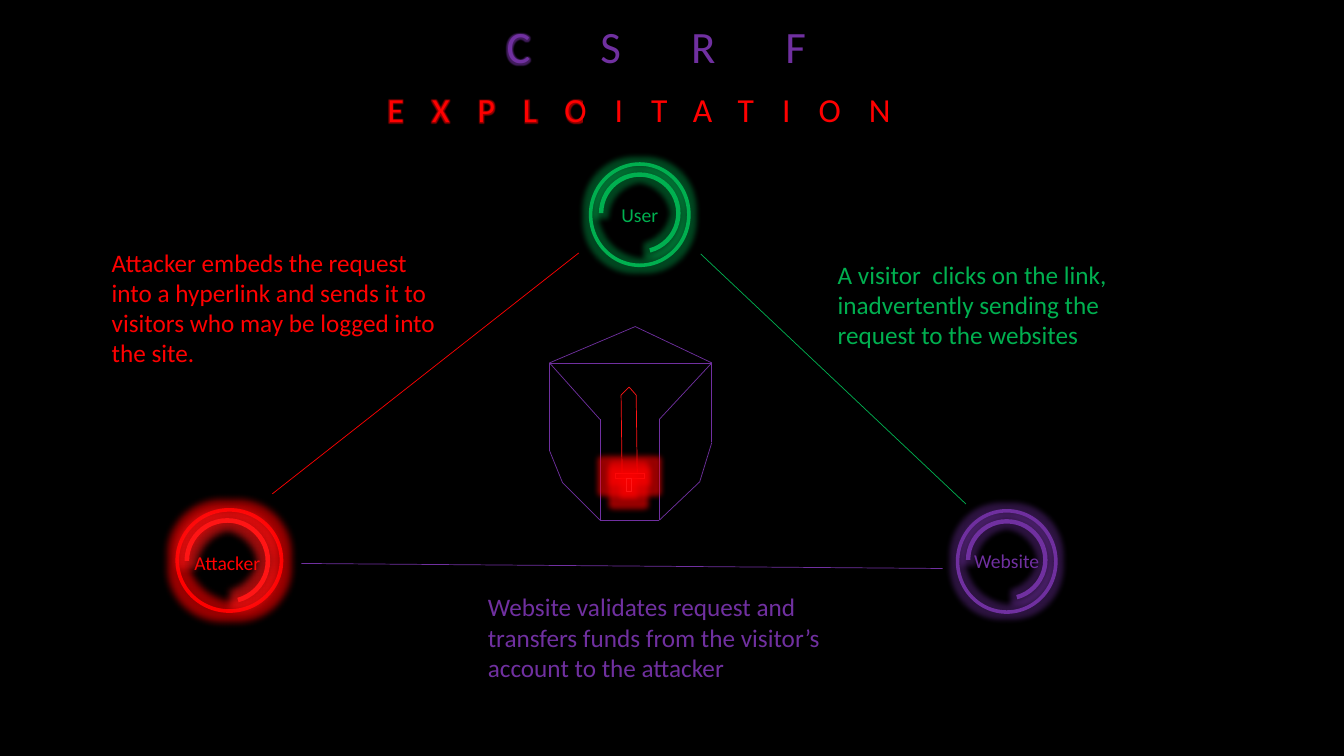
from dataclasses import dataclass
from itertools import pairwise

from lxml import etree
from pptx import Presentation
from pptx.dml.color import RGBColor
from pptx.enum.shapes import MSO_CONNECTOR, MSO_SHAPE
from pptx.enum.text import MSO_AUTO_SIZE, PP_ALIGN
from pptx.oxml.ns import qn
from pptx.util import Inches, Pt

DONUT, ARC, RECTANGLE = MSO_SHAPE.DONUT, MSO_SHAPE.BLOCK_ARC, MSO_SHAPE.RECTANGLE
STRAIGHT = MSO_CONNECTOR.STRAIGHT
LEFT, CENTER = PP_ALIGN.LEFT, PP_ALIGN.CENTER


@dataclass(frozen=True)
class Theme:
    font: str = "Calibri"
    background: str = "000000"
    red: str = "FF0000"
    bright_red: str = "FF1515"
    green: str = "00B050"
    purple: str = "7030A0"
    title: int = 32
    subtitle: int = 24
    body: int = 18
    label: int = 14
    line: float = 0.5


THEME = Theme()


def color(value):
    return RGBColor.from_string(value)


def add_glow(properties, value, radius, opacity):
    effects = properties.find(qn("a:effectLst"))
    if effects is None:
        effects = etree.SubElement(properties, qn("a:effectLst"))
    glow = etree.SubElement(effects, qn("a:glow"), rad=str(Pt(radius)))
    tint = etree.SubElement(glow, qn("a:srgbClr"), val=value)
    etree.SubElement(tint, qn("a:alpha"), val=str(opacity * 1000))


def add_text(page, area, text, size, value, align=LEFT, wrap=True):
    box = page.shapes.add_textbox(*map(Inches, area))
    frame = box.text_frame
    frame.word_wrap = wrap
    frame.auto_size = MSO_AUTO_SIZE.SHAPE_TO_FIT_TEXT
    para = frame.paragraphs[0]
    para.alignment = align
    para.font.name = THEME.font
    para.font.size = Pt(size)
    para.font.color.rgb = color(value)
    span = para.add_run()
    span.text = text
    return span


def add_heading(page, area, text, size, value, spacing):
    span = add_text(page, area, text, size, value, CENTER, wrap=False)
    properties = span.font._element
    properties.set("spc", str(spacing * 100))
    add_glow(properties, value, 5, 60)


def add_line(shapes, start, end, value):
    line = shapes.add_connector(STRAIGHT, *map(Inches, (*start, *end)))
    line.line.color.rgb = color(value)
    line.line.width = Pt(THEME.line)
    etree.SubElement(line._element.spPr, qn("a:effectLst"))


def add_path(shapes, points, value):
    for start, end in pairwise(points):
        add_line(shapes, start, end, value)


def add_ring_part(page, kind, area, adjustments, value, radius, opacity):
    part = page.shapes.add_shape(kind, *map(Inches, area))
    for index, adjustment in enumerate(adjustments):
        part.adjustments[index] = adjustment
    part.fill.solid()
    part.fill.fore_color.rgb = color(value)
    part.line.fill.background()
    part.shadow.inherit = False
    add_glow(part._element.spPr, value, radius, opacity)


def add_actor(page, name, ring, arc, label, value, arc_value, align, radius, opacity):
    add_ring_part(page, DONUT, ring, (0.035,), value, radius, opacity)
    add_text(page, label, name, THEME.label, value, align)
    add_ring_part(page, ARC, arc, (108, 44.906, 0.054), arc_value, radius, opacity)


def add_hilt_part(shapes, area):
    part = shapes.add_shape(RECTANGLE, *map(Inches, area))
    part.fill.background()
    part.line.color.rgb = color(THEME.bright_red)
    part.line.width = Pt(THEME.line)
    part.shadow.inherit = False
    add_glow(part._element.spPr, THEME.red, 8, 60)


def add_shield(page):
    shapes = page.shapes.add_group_shape().shapes
    left, right = (5.45, 3.6), (7.06, 3.6)
    left_foot, right_foot = (5.95, 5.16), (6.54, 5.16)
    outline = [left, (6.3, 3.24), right, (7.06, 4.39), (6.94, 4.78), right_foot,
               left_foot, (5.58, 4.79), (5.45, 4.47), left]
    add_path(shapes, outline, THEME.purple)
    add_path(shapes, [left_foot, (5.95, 4.16), left, right, (6.54, 4.16), right_foot],
             THEME.purple)
    blade = [(6.17, 4.69), (6.16, 3.92), (6.24, 3.84), (6.31, 3.92), (6.32, 4.69)]
    add_path(shapes, blade, THEME.bright_red)
    add_hilt_part(shapes, (6.1, 4.7, 0.29, 0.05))
    add_hilt_part(shapes, (6.21, 4.75, 0.05, 0.13))


def main():
    deck = Presentation()
    deck.slide_width, deck.slide_height = Inches(13.33), Inches(7.5)
    page = deck.slides.add_slide(deck.slide_layouts[6])
    page.background.fill.solid()
    page.background.fill.fore_color.rgb = color(THEME.background)

    add_actor(page, "Attacker", (1.74, 5.04, 1.07, 1.04), (1.83, 5.14, 0.85, 0.85),
              (1.83, 5.42, 1.06, 0.34), THEME.red, THEME.bright_red, LEFT, 11, 60)
    for name, left, top, value in (("User", 5.84, 1.61, THEME.green),
                                   ("Website", 9.48, 5.05, THEME.purple)):
        add_actor(page, name, (left, top, 1.01, 1.04), (left + 0.1, top + 0.1, 0.81, 0.81),
                  (left, top + 0.35, 1.01, 0.34), value, value, CENTER, 8, 40)

    add_line(page.shapes, (6.95, 2.52), (9.58, 5), THEME.green)
    add_line(page.shapes, (2.7, 4.9), (5.74, 2.51), THEME.red)
    add_line(page.shapes, (2.99, 5.59), (9.35, 5.64), THEME.purple)

    steps = (
        ((1.01, 2.4, 3.56, 1.31), THEME.red,
         "Attacker embeds the request into a hyperlink and sends it to visitors "
         "who may be logged into the site."),
        ((8.21, 2.52, 2.94, 1.01), THEME.green,
         "A visitor  clicks on the link, inadvertently sending the request to the websites"),
        ((4.74, 5.82, 3.74, 1.01), THEME.purple,
         "Website validates request and transfers funds from the visitor’s account "
         "to the attacker"),
    )
    for area, value, text in steps:
        add_text(page, area, text, THEME.body, value)

    add_heading(page, (4.56, 0.14, 3.9, 0.64), "CSRF", THEME.title, THEME.purple, 50)
    add_heading(page, (3.58, 0.83, 5.52, 0.5), "EXPLOITATION", THEME.subtitle, THEME.red, 20)
    add_shield(page)
    deck.save("out.pptx")


if __name__ == "__main__":
    main()
